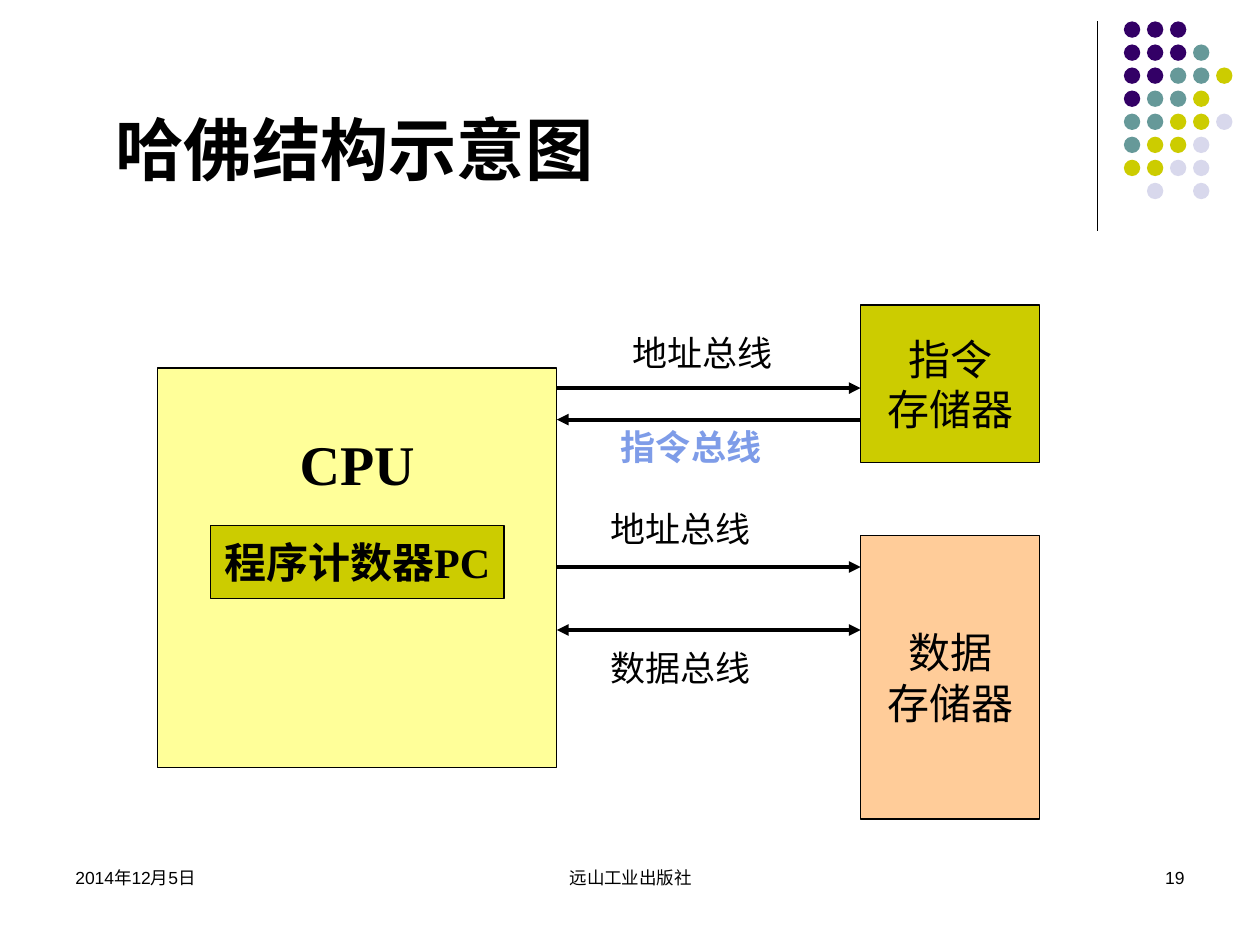
from dataclasses import dataclass
from lxml.etree import SubElement
from pptx import Presentation
from pptx.dml.color import RGBColor
from pptx.enum.shapes import MSO_CONNECTOR as Link, MSO_SHAPE as Shape
from pptx.enum.text import MSO_ANCHOR as Anchor, PP_ALIGN as Align
from pptx.oxml.ns import qn
from pptx.util import Inches, Pt

SERIF, SANS, PLAIN = "Times New Roman", "Roboto", "Arial"
BLACK, OLIVE = "000000", "CCCC00"
DOT_HUES = {"P": "330066", "T": "669999", "Y": OLIVE, "L": "D8D8EC"}
DOT_ROWS = ("PPP", "PPPT", "PPTTY", "PTTY", "TTYYL", "TYYL", "YYLL", " L L")
CPU_EDGE, STORE_EDGE = 4.42, 6.83


@dataclass
class Style:
    size: float
    font: str
    bold: bool = False
    hue: str = BLACK
    align: Align = Align.LEFT
    anchor: Anchor = Anchor.TOP
    wrap: bool = True
    top: float = 0.05


@dataclass
class Block:
    x: float
    y: float
    w: float
    h: float
    lines: tuple[str, ...]
    style: Style
    fill: str = ""


@dataclass
class Bus:
    start: float
    end: float
    y: float
    both: bool = False


def color(code: str) -> RGBColor:
    return RGBColor.from_string(code)


def write(frame, lines: tuple[str, ...], style: Style) -> None:
    frame.word_wrap = style.wrap
    frame.vertical_anchor = style.anchor
    frame.margin_top = Inches(style.top)
    for i, line in enumerate(lines):
        para = frame.paragraphs[0] if i == 0 else frame.add_paragraph()
        para.alignment = style.align
        run = para.add_run()
        run.text = line
        font = run.font
        font.size, font.name, font.bold = Pt(style.size), style.font, style.bold
        font.color.rgb = color(style.hue)


def draw_block(shapes, block: Block) -> None:
    place = [Inches(v) for v in (block.x, block.y, block.w, block.h)]
    if block.fill:
        shape = shapes.add_shape(Shape.RECTANGLE, *place)
        shape.shadow.inherit = False
        shape.fill.solid()
        shape.fill.fore_color.rgb = color(block.fill)
        shape.line.color.rgb = color(BLACK)
        shape.line.width = Pt(0.75)
    else:
        shape = shapes.add_textbox(*place)
    write(shape.text_frame, block.lines, block.style)


def draw_line(shapes, x1: float, y1: float, x2: float, y2: float,
              width: float, tips: tuple[str, ...] = ()) -> None:
    line = shapes.add_connector(Link.STRAIGHT, Inches(x1), Inches(y1), Inches(x2), Inches(y2))
    line.line.color.rgb = color(BLACK)
    line.line.width = Pt(width)
    for tip in tips:
        SubElement(line.line._get_or_add_ln(), qn(f"a:{tip}"), type="triangle")
    SubElement(line._element.spPr, qn("a:effectLst"))


def draw_dots(shapes) -> None:
    group = shapes.add_group_shape().shapes
    for row, keys in enumerate(DOT_ROWS):
        for col, key in enumerate(keys):
            if key in DOT_HUES:
                dot = group.add_shape(Shape.OVAL, Inches(8.92 + col * 0.183),
                                      Inches(0.17 + row * 0.183), Inches(0.13), Inches(0.13))
                dot.shadow.inherit = False
                dot.fill.solid()
                dot.fill.fore_color.rgb = color(DOT_HUES[key])
                dot.line.fill.background()


title = Style(39, SERIF, True, anchor=Anchor.BOTTOM)
core = Style(32, SERIF, True, align=Align.CENTER, wrap=False, top=0.49)
count = Style(24, SERIF, True, align=Align.CENTER, anchor=Anchor.MIDDLE, wrap=False)
store = Style(24, SANS, align=Align.CENTER, anchor=Anchor.MIDDLE, wrap=False)
label = Style(20, SANS)
accent = Style(20, SANS, True, "7E9CE8")
left, mid, right = (Style(10, PLAIN, align=a) for a in (Align.LEFT, Align.CENTER, Align.RIGHT))

BLOCKS = (
    Block(0.82, 0.13, 7.44, 1.42, ("哈佛结构示意图",), title),
    Block(1.25, 2.92, 3.17, 3.17, ("CPU",), core, "FFFF99"),
    Block(1.67, 4.17, 2.33, 0.58, ("程序计数器PC",), count, OLIVE),
    Block(STORE_EDGE, 2.42, 1.42, 1.25, ("指令", "存储器"), store, OLIVE),
    Block(STORE_EDGE, 4.25, 1.42, 2.25, ("数据", "存储器"), store, "FFCC99"),
    Block(4.92, 2.58, 1.33, 0.44, ("地址总线",), label),
    Block(4.75, 3.98, 1.33, 0.44, ("地址总线",), label),
    Block(4.75, 5.08, 1.33, 0.44, ("数据总线",), label),
    Block(4.83, 3.33, 1.33, 0.44, ("指令总线",), accent),
    Block(0.5, 6.83, 2.33, 0.5, ("2014年12月5日",), left),
    Block(3.42, 6.83, 3.17, 0.5, ("远山工业出版社",), mid),
    Block(7.17, 6.83, 2.33, 0.5, ("19",), right),
)
BUSES = (
    Bus(CPU_EDGE, STORE_EDGE, 3.08),
    Bus(STORE_EDGE, CPU_EDGE, 3.33),
    Bus(CPU_EDGE, STORE_EDGE, 4.5),
    Bus(STORE_EDGE, CPU_EDGE, 5, True),
)

deck = Presentation()
deck.slide_width, deck.slide_height = Inches(10), Inches(7.5)
shapes = deck.slides.add_slide(deck.slide_layouts[6]).shapes
draw_line(shapes, 8.71, 0.17, 8.71, 1.83, 0.75)
draw_dots(shapes)
for block in BLOCKS:
    draw_block(shapes, block)
for bus in BUSES:
    tips = ("headEnd", "tailEnd") if bus.both else ("tailEnd",)
    draw_line(shapes, bus.start, bus.y, bus.end, bus.y, 2.25, tips)
deck.save("out.pptx")
